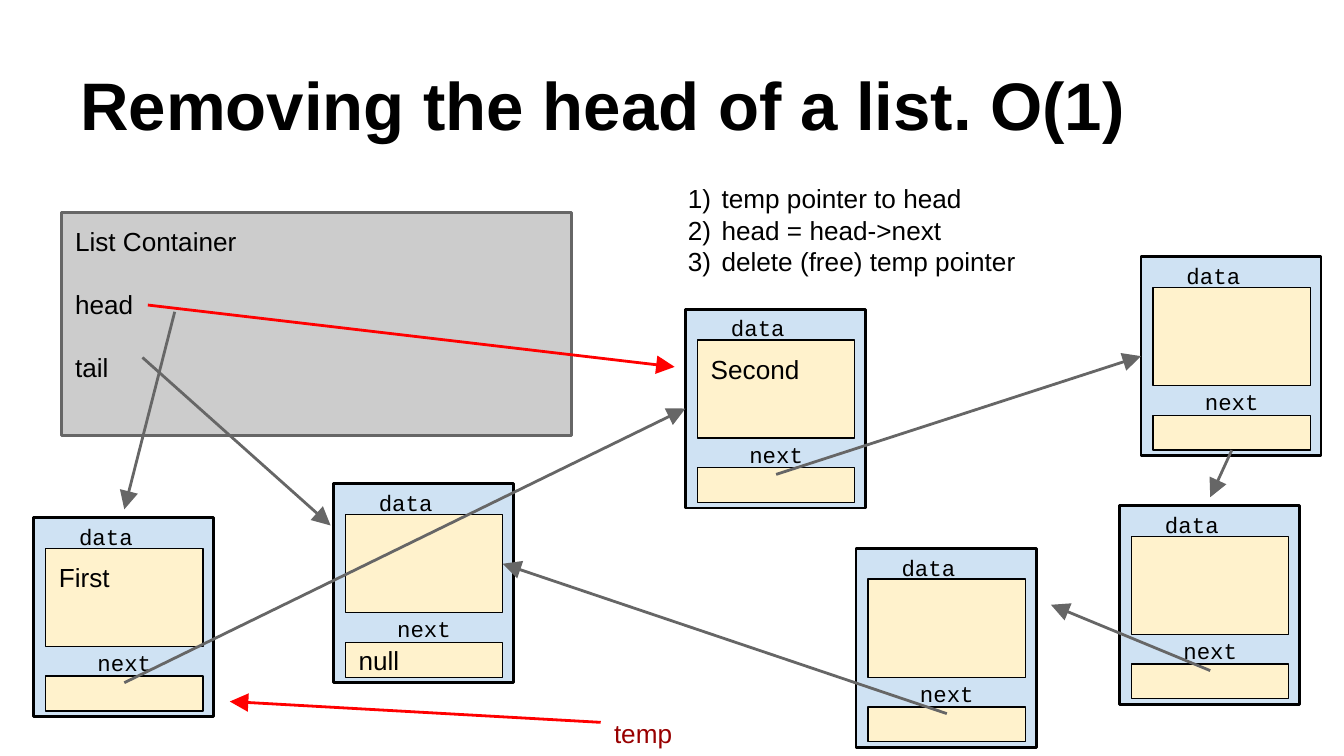
from lxml import etree
from pptx import Presentation
from pptx.dml.color import RGBColor
from pptx.enum import shapes, text
from pptx.oxml import ns
from pptx.util import Inches, Pt

BLACK, GRAY, RED = "000000", "666666", "FF0000"
NODE_BLUE, CELL_CREAM = "CFE2F3", "FFF2CC"


def color(value):
    return RGBColor.from_string(value)


def add_tag(parent, name, **attributes):
    return etree.SubElement(parent, ns.qn(name), attributes)


def write(box, content, size=14, font="Arial", fill=BLACK, bold=False,
          align=text.PP_ALIGN.LEFT, anchor=text.MSO_ANCHOR.TOP,
          gap=0, numbered=False):
    """Fill a box with one paragraph per line of content; gap is in points."""
    frame = box.text_frame
    frame.word_wrap = True
    frame.vertical_anchor = anchor
    frame.margin_left = frame.margin_right = Inches(0.1)
    frame.margin_top = frame.margin_bottom = Inches(0.1)
    for index, line in enumerate(content.split("\n")):
        para = frame.add_paragraph() if index else frame.paragraphs[0]
        para.alignment = align
        if numbered:
            properties = para._p.get_or_add_pPr()
            properties.set("marL", str(Inches(0.5)))
            properties.set("indent", str(Inches(-0.25)))
            add_tag(properties, "a:buAutoNum", type="arabicParenR")
        para.space_before = Pt(gap if index else 0)
        span = para.add_run()
        span.text = line
        span.font.name = font
        span.font.size = Pt(size)
        span.font.bold = bold
        span.font.color.rgb = color(fill)


def add_text(parent, left, top, width, height, content, **style):
    box = parent.shapes.add_textbox(
        Inches(left), Inches(top), Inches(width), Inches(height))
    write(box, content, **style)
    return box


def add_box(parent, left, top, width, height, fill, line=BLACK, weight=0.75):
    box = parent.shapes.add_shape(
        shapes.MSO_SHAPE.RECTANGLE,
        Inches(left), Inches(top), Inches(width), Inches(height))
    box.shadow.inherit = False
    box.fill.solid()
    box.fill.fore_color.rgb = color(fill)
    box.line.color.rgb = color(line)
    box.line.width = Pt(weight)
    return box


def add_node(page, left, top, data="", next_value=""):
    """Draw a list node and return its parts by name."""
    group = page.shapes.add_group_shape()
    label = dict(size=12, font="Courier New")
    frame = add_box(group, left, top, 1.34, 1.48, NODE_BLUE, weight=1.5)
    next_cell = add_box(group, left + 0.09, top + 1.18, 1.17, 0.26, CELL_CREAM)
    next_label = add_text(group, left + 0.24, top + 0.88, 0.87, 0.35, "next",
                          align=text.PP_ALIGN.CENTER, **label)
    data_label = add_text(group, left + 0.24, top - 0.06, 0.87, 0.35, "data",
                          **label)
    data_cell = add_box(group, left + 0.09, top + 0.23, 1.17, 0.73, CELL_CREAM)
    if data:
        write(data_cell, data)
    if next_value:
        write(next_cell, next_value, anchor=text.MSO_ANCHOR.MIDDLE)
    return dict(frame=frame, next_cell=next_cell, next_label=next_label,
                data_label=data_label, data_cell=data_cell)


def add_arrow(page, start, end, line=GRAY):
    """Join two ends, each an (x, y) point or a (shape, side) pair."""
    connector = page.shapes.add_connector(
        shapes.MSO_CONNECTOR.STRAIGHT, 0, 0, 0, 0)
    if isinstance(start[0], float):
        connector.begin_x, connector.begin_y = map(Inches, start)
    else:
        connector.begin_connect(*start)
    if isinstance(end[0], float):
        connector.end_x, connector.end_y = map(Inches, end)
    else:
        connector.end_connect(*end)
    connector.line.color.rgb = color(line)
    connector.line.width = Pt(1.5)
    properties = connector.element.spPr
    add_tag(properties.find(ns.qn("a:ln")), "a:tailEnd",
            type="triangle", w="lg", len="lg")
    add_tag(properties, "a:effectLst")


def main():
    deck = Presentation()
    deck.slide_width = Inches(10)
    deck.slide_height = deck.slide_width * 9 // 16
    page = deck.slides.add_slide(deck.slide_layouts[6])
    top_side, left_side, bottom_side, right_side = range(4)

    add_text(page, 0.5, 0.23, 9, 0.94, "Removing the head of a list. O(1)",
             size=36, bold=True, anchor=text.MSO_ANCHOR.BOTTOM)
    container = add_box(page, 0.46, 1.58, 3.79, 1.66, "CCCCCC", GRAY, 1.5)
    write(container, "List Container\nhead\ntail", gap=16.75)
    add_text(page, 4.77, 1.26, 3.51, 0.87,
             "temp pointer to head\nhead = head->next\n"
             "delete (free) temp pointer", numbered=True)

    first = add_node(page, 0.25, 3.85, data="First")
    second = add_node(page, 5.1, 2.3, data="Second")
    third = add_node(page, 8.49, 1.91)
    fourth = add_node(page, 8.33, 3.76)
    fifth = add_node(page, 6.37, 4.08)
    last = add_node(page, 2.48, 3.6, next_value="null")
    temp = add_text(page, 4.47, 5.24, 0.75, 0.27, "temp", fill="980000")

    add_arrow(page, (first["next_label"], bottom_side),
              (second["frame"], left_side))
    add_arrow(page, (second["next_label"], bottom_side),
              (third["frame"], left_side))
    add_arrow(page, (third["next_cell"], bottom_side),
              (fourth["data_label"], top_side))
    add_arrow(page, (fourth["next_label"], bottom_side), (7.82, 4.5))
    add_arrow(page, (fifth["next_label"], bottom_side),
              (last["data_cell"], right_side))
    add_arrow(page, (1.06, 2.66), (2.46, 3.91))
    add_arrow(page, (1.3, 2.32), (first["data_label"], top_side))
    add_arrow(page, (1.1, 2.27), (5.02, 2.73), RED)
    add_arrow(page, (temp, left_side), (1.71, 5.22), RED)

    deck.save("out.pptx")


if __name__ == "__main__":
    main()
